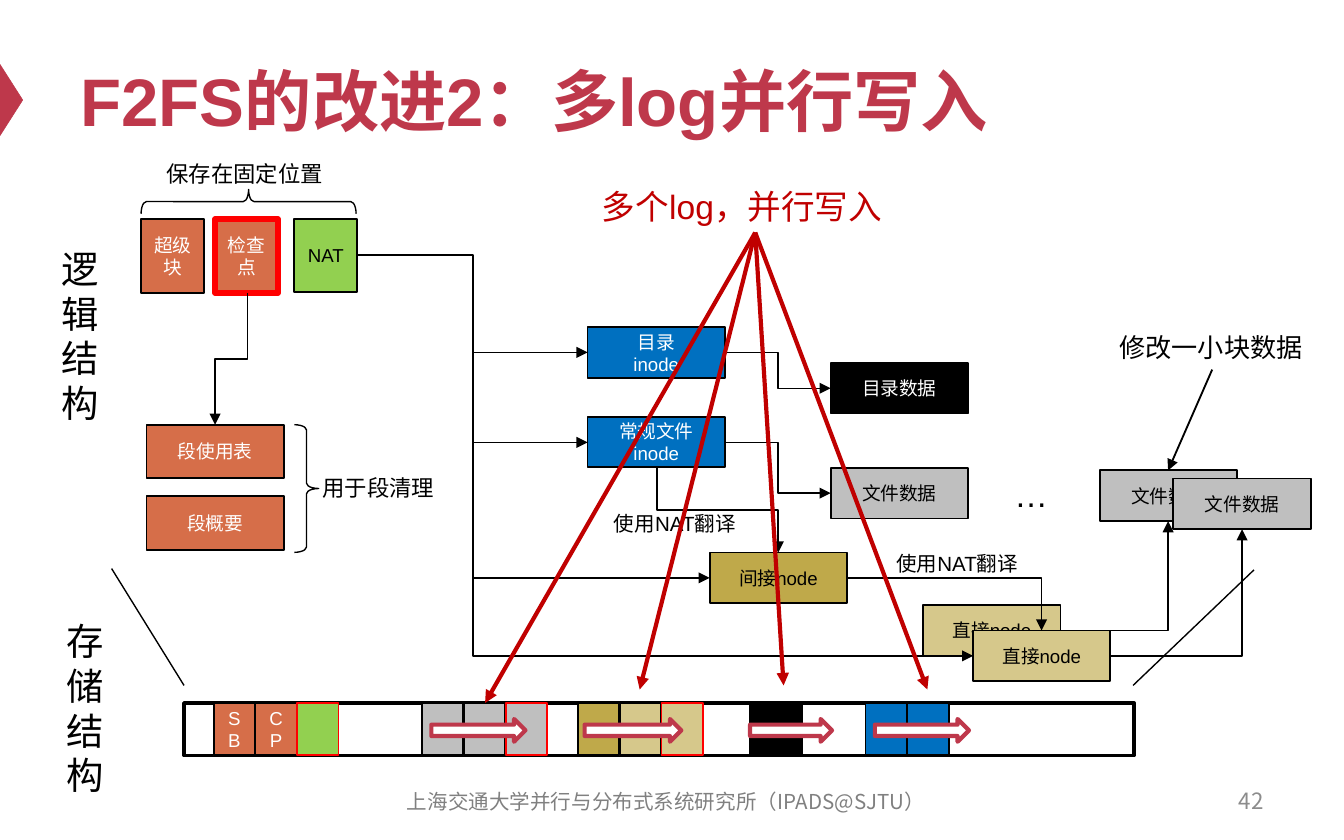
from dataclasses import dataclass

from lxml import etree
from pptx import Presentation
from pptx.dml.color import RGBColor
from pptx.enum.shapes import MSO_CONNECTOR, MSO_SHAPE
from pptx.enum.text import MSO_ANCHOR, PP_ALIGN
from pptx.oxml.ns import qn
from pptx.slide import Slide
from pptx.util import Pt

RECT, TRIANGLE = MSO_SHAPE.RECTANGLE, MSO_SHAPE.ISOSCELES_TRIANGLE
BRACE, RIGHT_ARROW = MSO_SHAPE.RIGHT_BRACE, MSO_SHAPE.RIGHT_ARROW
STRAIGHT, ELBOW = MSO_CONNECTOR.STRAIGHT, MSO_CONNECTOR.ELBOW
LEFT, CENTER, RIGHT = PP_ALIGN.LEFT, PP_ALIGN.CENTER, PP_ALIGN.RIGHT
TOP, MIDDLE = MSO_ANCHOR.TOP, MSO_ANCHOR.MIDDLE

BLACK = RGBColor(0x00, 0x00, 0x00)
WHITE = RGBColor(0xFF, 0xFF, 0xFF)
CRIMSON = RGBColor(0xBE, 0x38, 0x4B)
DARK_RED = RGBColor(0xC0, 0x00, 0x00)
RED = RGBColor(0xFF, 0x00, 0x00)
ORANGE = RGBColor(0xD6, 0x6E, 0x49)
GREEN = RGBColor(0x92, 0xD0, 0x50)
BLUE = RGBColor(0x00, 0x70, 0xC0)
GRAY = RGBColor(0xBF, 0xBF, 0xBF)
OCHRE = RGBColor(0xBF, 0xA9, 0x4A)
SAND = RGBColor(0xD6, 0xC8, 0x8B)
FOOTER_GRAY = RGBColor(0x80, 0x80, 0x80)
NUMBER_GRAY = RGBColor(0x8C, 0x8C, 0x8C)

BODY_FONT, FOOTER_FONT = "Arial", "Noto Sans CJK SC"
NODE_W, NODE_H = 73.6, 27.2


def write_text(frame, text, size=10, color=BLACK, font=BODY_FONT, bold=False,
               align=LEFT, anchor=TOP, wrap=True, inset=7.2):
    frame.word_wrap = wrap
    frame.vertical_anchor = anchor
    frame.margin_left = frame.margin_right = Pt(inset)
    frame.margin_top = frame.margin_bottom = Pt(3.6)
    for index, content in enumerate(text.split("\n")):
        paragraph = frame.add_paragraph() if index else frame.paragraphs[0]
        paragraph.alignment = align
        run = paragraph.add_run()
        run.text = content
        run.font.size, run.font.bold = Pt(size), bold
        run.font.color.rgb = color
        run.font.name = font
        etree.SubElement(run.font._element, qn("a:ea"), typeface=font)


@dataclass
class Diagram:
    slide: Slide
    ink: RGBColor = BLACK
    border: float = 1
    hairline: float = 0.75

    def title(self, text, left, top, width, height):
        heading = self.slide.shapes.title
        heading.left, heading.top = Pt(left), Pt(top)
        heading.width, heading.height = Pt(width), Pt(height)
        write_text(heading.text_frame, text, size=36, color=CRIMSON, bold=True, anchor=MIDDLE)

    def label(self, text, left, top, width, height, **style):
        box = self.slide.shapes.add_textbox(Pt(left), Pt(top), Pt(width), Pt(height))
        write_text(box.text_frame, text, **style)

    def shape(self, kind, left, top, width, height, fill=None, line=None, weight=None, rotation=0):
        item = self.slide.shapes.add_shape(kind, Pt(left), Pt(top), Pt(width), Pt(height))
        item.shadow.inherit = False
        item.rotation = rotation
        if fill is None:
            item.fill.background()
        else:
            item.fill.solid()
            item.fill.fore_color.rgb = fill
        item.line.color.rgb = line or self.ink
        item.line.width = Pt(weight or self.border)
        return item

    def block(self, text, left, top, width, height, fill, color=WHITE,
              line=None, weight=None, **style):
        item = self.shape(RECT, left, top, width, height, fill, line, weight)
        if text:
            write_text(item.text_frame, text, color=color, align=CENTER, anchor=MIDDLE, **style)

    def node(self, text, left, top, fill, color=BLACK):
        self.block(text, left, top, NODE_W, NODE_H, fill, color)

    def brace(self, left, top, width, height, rotation=0):
        item = self.shape(BRACE, left, top, width, height, weight=self.hairline, rotation=rotation)
        item.adjustments[0] = 0.22

    def line(self, start, end, kind=STRAIGHT, color=None, weight=None, arrow=True):
        item = self.slide.shapes.add_connector(kind, *map(Pt, start + end))
        item.line.color.rgb = color or self.ink
        item.line.width = Pt(weight or self.hairline)
        properties = item.element.spPr
        if arrow:
            etree.SubElement(properties.find(qn("a:ln")), qn("a:tailEnd"), type="triangle")
        etree.SubElement(properties, qn("a:effectLst"))
        return properties

    def elbow(self, start, end, bend_x=None, weight=None):
        """Horizontal, vertical, horizontal; bend_x places the vertical part."""
        geometry = self.line(start, end, ELBOW, weight=weight).find(qn("a:prstGeom"))
        if bend_x is not None:
            share = round(100000 * (bend_x - start[0]) / (end[0] - start[0]))
            etree.SubElement(geometry.find(qn("a:avLst")), qn("a:gd"),
                             name="adj1", fmla=f"val {share}")

    def drop(self, start, end, weight=None):
        """Vertical, horizontal, vertical: an elbow turned a quarter about its centre."""
        (x1, y1), (x2, y2) = start, end
        x, y, half_w, half_h = (x1 + x2) / 2, (y1 + y2) / 2, (y2 - y1) / 2, (x2 - x1) / 2
        properties = self.line((x - half_w, y + half_h), (x + half_w, y - half_h),
                               ELBOW, weight=weight)
        properties.find(qn("a:xfrm")).set("rot", "5400000")

    def corner(self, start, end, weight=None):
        """Horizontal, then vertical."""
        properties = self.line(start, end, ELBOW, weight=weight)
        properties.find(qn("a:prstGeom")).set("prst", "bentConnector2")


def draw_storage(d):
    top, height, width, pitch = 376.6, 28.1, 22.1, 22.4
    d.block("", 98.6, top, 509, height, WHITE, weight=2)
    segments = [
        (114.5, [("SB", ORANGE), ("CP", ORANGE), ("", GREEN)], True),
        (226.1, [("", GRAY)] * 3, True),
        (309.6, [("", OCHRE), ("", SAND), ("", SAND)], True),
        (463.7, [("", BLUE)] * 2, False),
    ]
    for left, cells, last_is_new in segments:
        for index, (text, fill) in enumerate(cells):
            is_new = last_is_new and index == len(cells) - 1
            d.block(text, left + index * pitch, top, width, height, fill,
                    line=RED if is_new else BLACK)
    for left, narrow_width in [(401.8, 12.2), (415.4, 14.4)]:
        d.block("", left, top, narrow_width, height, BLACK)
    for left, length in [(231.1, 50.4), (313.2, 51.8), (401.8, 43.9), (468.7, 50.4)]:
        d.shape(RIGHT_ARROW, left, 385.2, length, 12.2, WHITE, CRIMSON, 2.25)
    # Edges that open the storage bar up to the logical view
    d.line((59.8, 304.6), (98.6, 367.2), arrow=False)
    d.line((671.8, 305.3), (607, 367.2), arrow=False)


def draw_fixed_area(d):
    d.label("保存在固定位置", 82.1, 82.1, 103, 21.6, size=12, wrap=False)
    d.brace(126.7, 50.4, 13, 115.2, rotation=270)
    d.block("超级块", 75.6, 117.4, 33.8, 39.6, ORANGE, inset=4)
    d.block("检查点", 115.2, 117.4, 33.8, 39.6, ORANGE, line=RED, weight=3, inset=4)
    d.block("NAT", 157.7, 117.4, 33.8, 38.9, GREEN, BLACK, wrap=False)
    for text, top in [("段使用表", 227.5), ("段概要", 265.7)]:
        d.block(text, 78.5, top, NODE_W, 28.8, ORANGE)
    d.drop((132.5, 157), (115.2, 227.5))
    d.brace(157.7, 227.5, 13, 68.4)
    d.label("用于段清理", 165.6, 250.6, 74.9, 21.6, size=12, wrap=False)


def draw_nodes(d):
    d.node("目录\ninode", 314.8, 175.4, BLUE, WHITE)
    d.node("常规文件inode", 314.8, 223.2, BLUE, WHITE)
    d.node("目录数据", 445, 194.4, BLACK, WHITE)
    d.node("文件数据", 445, 250.6, GRAY)
    d.node("间接node", 380.2, 296, OCHRE)
    d.node("直接node", 494.6, 324, SAND)
    d.node("文件数据", 589.2, 252, GRAY)
    d.label("…", 536.4, 250.6, 33.8, 28.8, size=18)

    # NAT points to every node through one shared trunk
    for x, y, weight in [(314.8, 188.8, 0.75), (314.8, 237, 0.75),
                         (380.2, 309.6, 0.75), (521.3, 351.4, 1)]:
        d.elbow((191.5, 136.8), (x, y), bend_x=253.4, weight=weight)
    d.elbow((388.4, 188.8), (445, 208))
    d.elbow((388.4, 237), (445, 264.2))
    d.drop((351.8, 250.4), (416.9, 296), weight=1)
    d.corner((453.8, 309.6), (558, 337.8), weight=1)
    d.corner((568.2, 337.8), (625.8, 279.2))
    for left, top in [(321.8, 270), (473, 291.6)]:
        d.label("使用NAT翻译", left, top, 81.4, 20.9, size=11)

    # Rewritten data and its direct node
    d.label("修改一小块数据", 592.6, 174.2, 113.8, 24.5, size=14, wrap=False)
    d.line((649.4, 198), (625.8, 252), weight=1)
    d.node("文件数据", 628.6, 256.4, GRAY)
    d.node("直接node", 521.3, 337.8, SAND)
    d.corner((594.9, 351.4), (665.4, 283.6), weight=1)


def draw_log_callout(d):
    d.label("多个log，并行写入", 315.4, 95.8, 179.3, 28.8, size=18, color=DARK_RED)
    for target in [(496.8, 369.4), (259.9, 376.6), (342.7, 369.4), (419.8, 367.2)]:
        d.line((404.6, 124.6), target, color=DARK_RED, weight=2.25)


def main():
    deck = Presentation()
    deck.slide_width, deck.slide_height = Pt(720), Pt(450)
    d = Diagram(deck.slides.add_slide(deck.slide_layouts[5]))

    # Title and footer
    d.shape(TRIANGLE, -13, 47.5, 38.2, 12.2, CRIMSON, CRIMSON, 0.25, rotation=90)
    d.title("F2FS的改进2：多log并行写入", 36, 18, 648, 70.6)
    d.label("上海交通大学并行与分布式系统研究所（IPADS@SJTU）", 200.9, 417.6, 311.8, 23.8,
            size=11, color=FOOTER_GRAY, font=FOOTER_FONT, align=CENTER, anchor=MIDDLE)
    d.label("42", 516.2, 416.9, 167.8, 23.8,
            size=12, color=NUMBER_GRAY, font=FOOTER_FONT, align=RIGHT, anchor=MIDDLE)

    # Side headings
    d.label("逻辑结构", 25.9, 128.2, 28.1, 104.4, size=20)
    d.label("存储结构", 28.8, 327.6, 22.3, 104.4, size=20)

    # Diagram
    draw_storage(d)
    draw_fixed_area(d)
    draw_nodes(d)
    draw_log_callout(d)
    deck.save("out.pptx")


if __name__ == "__main__":
    main()
